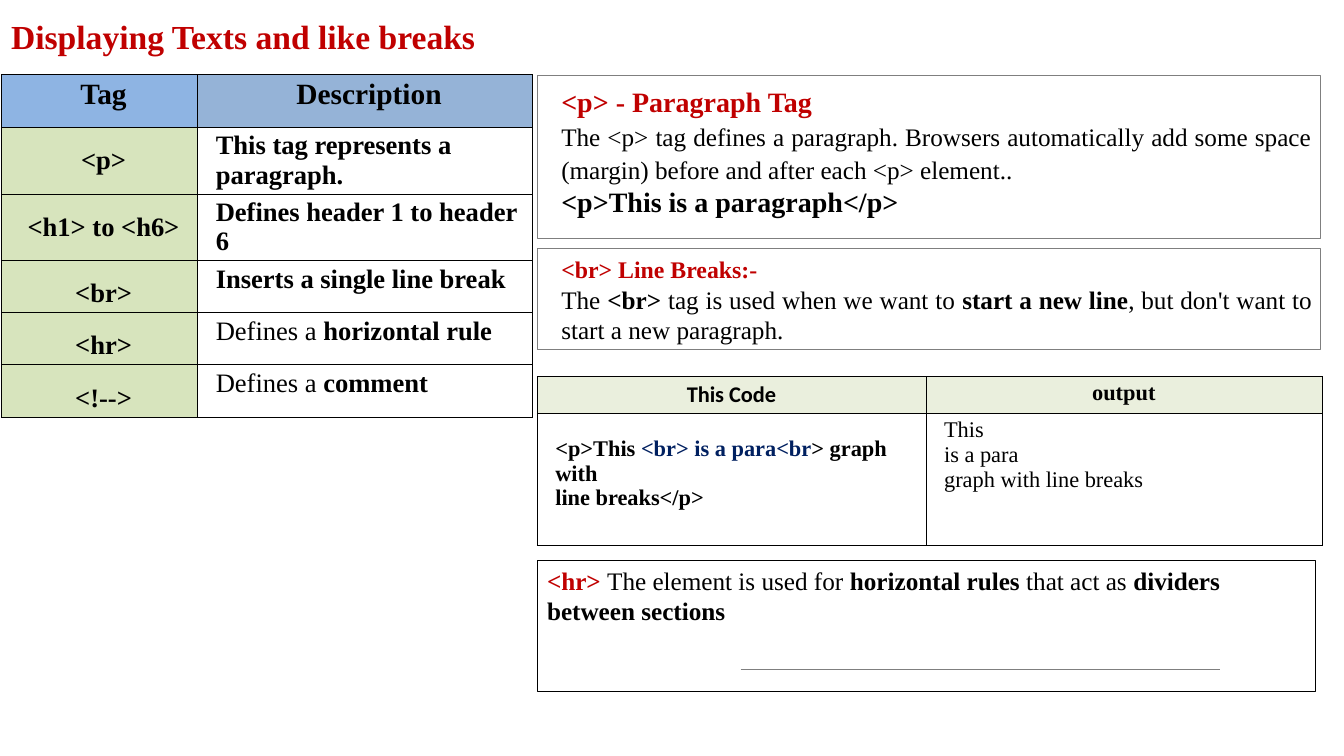
import pptx
import pptx.util
import pptx.dml.color
import pptx.enum.shapes
import pptx.enum.text
import pptx.oxml
import pptx.oxml.ns
from dataclasses import dataclass
from pptx.util import Cm


@dataclass(frozen=True)
class Theme:
    serif: str = "Times New Roman"
    sans: str = "Calibri"
    red: str = "C00000"
    black: str = "000000"
    navy: str = "002060"
    gray: str = "7F7F7F"
    tag_head: str = "8EB4E3"
    description_head: str = "95B3D7"
    tag_fill: str = "D7E4BD"
    code_head: str = "EAEFDD"
    title_size: int = 24
    head_size: int = 21
    cell_size: int = 19
    heading_size: int = 20
    subheading_size: int = 17
    body_size: int = 18
    code_size: int = 16
    rule_width: float = 0.75
    border_width: float = 0.34


THEME = Theme()
ALIGN = pptx.enum.text.PP_ALIGN


def plain(text):
    return (text, THEME.black, False)


def bold(text, color=THEME.black):
    return (text, color, True)


def line(*runs, size, **look):
    return dict(runs=runs, size=size, **look)


TITLE = line(bold("Displaying Texts and like breaks", THEME.red), size=THEME.title_size)
TAGS = [
    ("<p>", [bold("This tag represents a paragraph.")]),
    ("<h1> to <h6>", [bold("Defines header 1 to header 6")]),
    ("<br>", [bold("Inserts a single line break")]),
    ("<hr>", [plain("Defines a "), bold("horizontal rule")]),
    ("<!-->", [plain("Defines a "), bold("comment")]),
]
CODE_HEADS = [("This Code", THEME.sans), ("output", THEME.serif)]
CODE_LINES = [
    [bold("<p>This "), bold("<br> is a para<br", THEME.navy), bold("> graph with")],
    [bold("line breaks</p>")],
]
OUTPUT_LINES = ["This", "is a para", "graph with line breaks"]
PARAGRAPH_TAG = [
    line(bold("<p> - Paragraph Tag", THEME.red), size=THEME.heading_size,
         align=ALIGN.JUSTIFY, spacing=1.08),
    line(plain("The <p> tag defines a paragraph. Browsers automatically add some space "
               "(margin) before and after each <p> element.."),
         size=THEME.body_size, align=ALIGN.JUSTIFY, spacing=1.08, before=0.9),
    line(bold("<p>This is a paragraph</p>"), size=THEME.heading_size, align=ALIGN.JUSTIFY),
]
LINE_BREAKS = [
    line(bold("<br> Line Breaks:-", THEME.red), size=THEME.subheading_size,
         align=ALIGN.JUSTIFY, spacing=1.08),
    line(plain("The "), bold("<br> "), plain("tag is used when we want to "),
         bold("start a new line"), plain(", but don't want to start a new paragraph. "),
         size=THEME.body_size, align=ALIGN.JUSTIFY, before=0.4),
]
HORIZONTAL_RULE = [
    line(bold("<hr> ", THEME.red), plain("The element is used for "),
         bold("horizontal rules "), plain("that act as "),
         bold("dividers between sections"), size=THEME.body_size),
]

RIGHT_LEFT = 13.54
BOXES = [
    (PARAGRAPH_TAG, 1.91, 19.76, 4.09, THEME.gray, (0.61, 0.15, 0.23, 0.1)),
    (LINE_BREAKS, 6.27, 19.76, 2.54, THEME.gray, (0.61, 0.1, 0.23, 0.1)),
    (HORIZONTAL_RULE, 14.12, 19.63, 3.3, THEME.black, (0.25, 0.13, 0.25, 0.13)),
]


def rgb(code):
    return pptx.dml.color.RGBColor.from_string(code)


def write(frame, lines):
    for index, item in enumerate(lines):
        para = frame.paragraphs[0] if index == 0 else frame.add_paragraph()
        para.alignment = item.get("align", ALIGN.LEFT)
        para.line_spacing = item.get("spacing", 1.0)
        para.space_before = pptx.util.Pt(item.get("before", 0))
        for text, color, heavy in item["runs"]:
            span = para.add_run()
            span.text = text
            span.font.name = item.get("font", THEME.serif)
            span.font.size = pptx.util.Pt(item["size"])
            span.font.bold = heavy
            span.font.color.rgb = rgb(color)


def set_margins(holder, margins):
    holder.margin_left, holder.margin_top, holder.margin_right, holder.margin_bottom = map(Cm, margins)


def fill_cell(cell, lines, fill=None, margins=(0.48, 0.1, 0.25, 0.1)):
    set_margins(cell, margins)
    properties = cell._tc.get_or_add_tcPr()
    for side in ("lnL", "lnR", "lnT", "lnB"):
        width = int(pptx.util.Pt(THEME.border_width))
        properties.append(pptx.oxml.parse_xml(
            f'<a:{side} {pptx.oxml.ns.nsdecls("a")} w="{width}"><a:solidFill>'
            f'<a:srgbClr val="{THEME.black}"/></a:solidFill></a:{side}>'))
    if fill:
        cell.fill.solid()
        cell.fill.fore_color.rgb = rgb(fill)
    else:
        cell.fill.background()
    write(cell.text_frame, lines)


def add_grid(page, left, top, widths, heights):
    frame = page.shapes.add_table(len(heights), len(widths), Cm(left), Cm(top),
                                  Cm(sum(widths)), Cm(sum(heights)))
    table = frame.table
    table.first_row = table.horz_banding = False
    for column, width in zip(table.columns, widths):
        column.width = Cm(width)
    for row, height in zip(table.rows, heights):
        row.height = Cm(height)
    return table


def add_tag_table(page):
    table = add_grid(page, 0.03, 1.88, [4.93, 8.46], [1.32, 1.6] + [1.22] * 4)
    heads = [("Tag", THEME.tag_head), ("Description", THEME.description_head)]
    for column, (text, fill) in enumerate(heads):
        fill_cell(table.cell(0, column),
                  [line(bold(text), size=THEME.head_size, align=ALIGN.CENTER)], fill)
    for row, (tag, description) in enumerate(TAGS, 1):
        fill_cell(table.cell(row, 0), [line(bold(tag), size=THEME.cell_size,
                                            align=ALIGN.CENTER, spacing=1.5)], THEME.tag_fill)
        fill_cell(table.cell(row, 1), [line(*description, size=THEME.cell_size)])


def add_code_table(page):
    table = add_grid(page, RIGHT_LEFT, 9.48, [9.8, 9.98], [0.74, 3.33])
    for column, (text, font) in enumerate(CODE_HEADS):
        fill_cell(table.cell(0, column), [line(bold(text), size=THEME.code_size, font=font,
                                               align=ALIGN.CENTER)],
                  THEME.code_head, (0.25, 0.12, 0.25, 0.12))
    fill_cell(table.cell(1, 0), [line(*runs, size=THEME.code_size) for runs in CODE_LINES],
              margins=(0.46, 0.58, 0.25, 0.1))
    fill_cell(table.cell(1, 1), [line(plain(text), size=THEME.code_size) for text in OUTPUT_LINES],
              margins=(0.46, 0.12, 0.25, 0.1))


def add_box(page, lines, top, width, height, color, margins):
    box = page.shapes.add_shape(pptx.enum.shapes.MSO_SHAPE.RECTANGLE, Cm(RIGHT_LEFT),
                                Cm(top), Cm(width), Cm(height))
    box.shadow.inherit = False
    box.fill.background()
    box.line.color.rgb = rgb(color)
    box.line.width = pptx.util.Pt(THEME.rule_width)
    frame = box.text_frame
    frame.word_wrap = True
    frame.vertical_anchor = pptx.enum.text.MSO_ANCHOR.TOP
    set_margins(frame, margins)
    write(frame, lines)


def main():
    deck = pptx.Presentation()
    deck.slide_width, deck.slide_height = Cm(33.88), Cm(19.05)
    page = deck.slides.add_slide(deck.slide_layouts[5])
    title = page.shapes.title
    title.left, title.top, title.width, title.height = Cm(0.03), Cm(0.3), Cm(14.83), Cm(1.24)
    title.text_frame.word_wrap = True
    title.text_frame.vertical_anchor = pptx.enum.text.MSO_ANCHOR.MIDDLE
    set_margins(title.text_frame, (0.25, 0.1, 0.23, 0.1))
    write(title.text_frame, [TITLE])
    add_tag_table(page)
    add_code_table(page)
    for box in BOXES:
        add_box(page, *box)
    rule = page.shapes.add_connector(pptx.enum.shapes.MSO_CONNECTOR.STRAIGHT,
                                     Cm(18.67), Cm(16.87), Cm(30.76), Cm(16.87))
    rule.line.color.rgb = rgb(THEME.gray)
    rule.line.width = pptx.util.Pt(THEME.rule_width)
    rule._element.spPr.append(pptx.oxml.parse_xml(
        f'<a:effectLst {pptx.oxml.ns.nsdecls("a")}/>'))
    deck.save("out.pptx")


if __name__ == "__main__":
    main()
